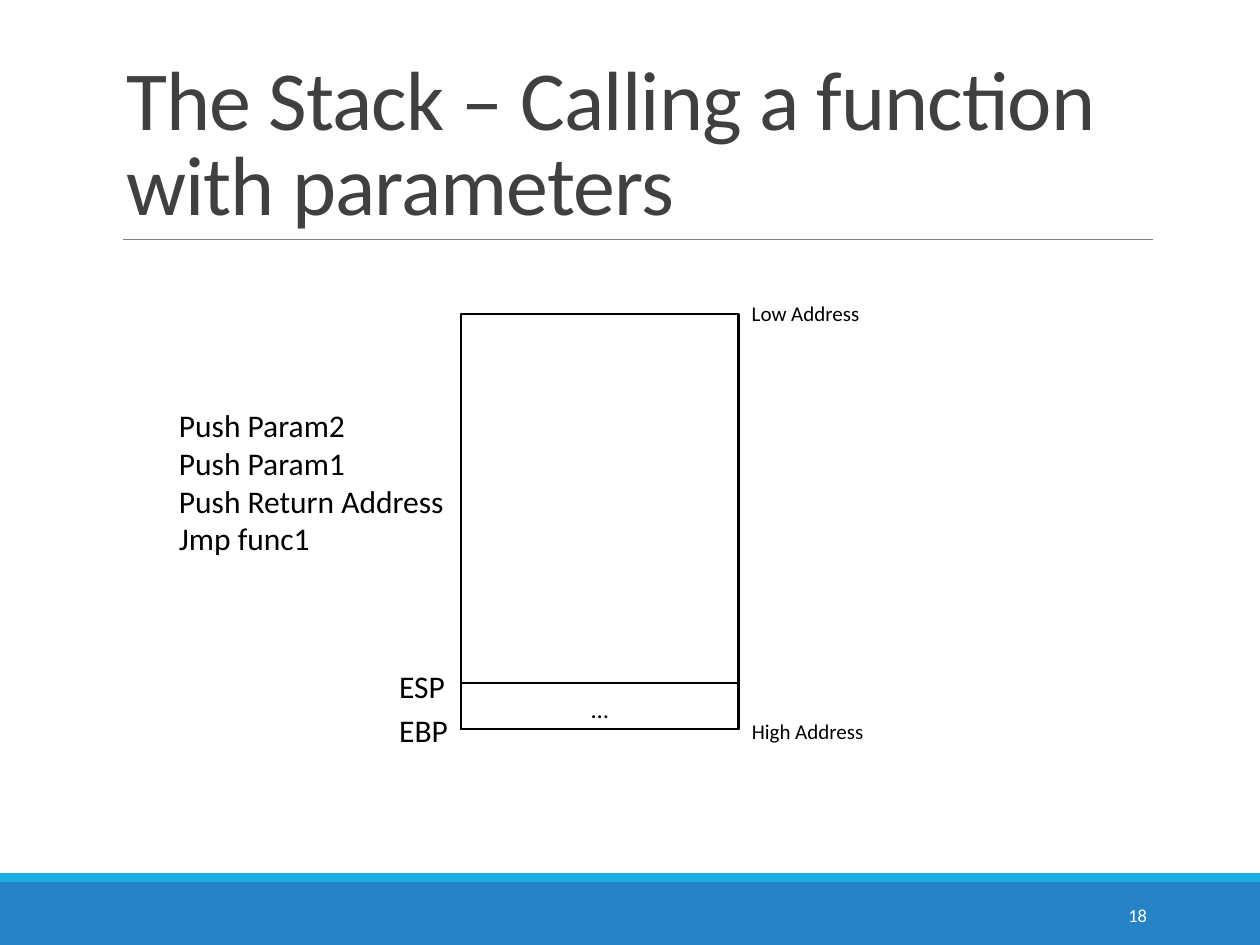
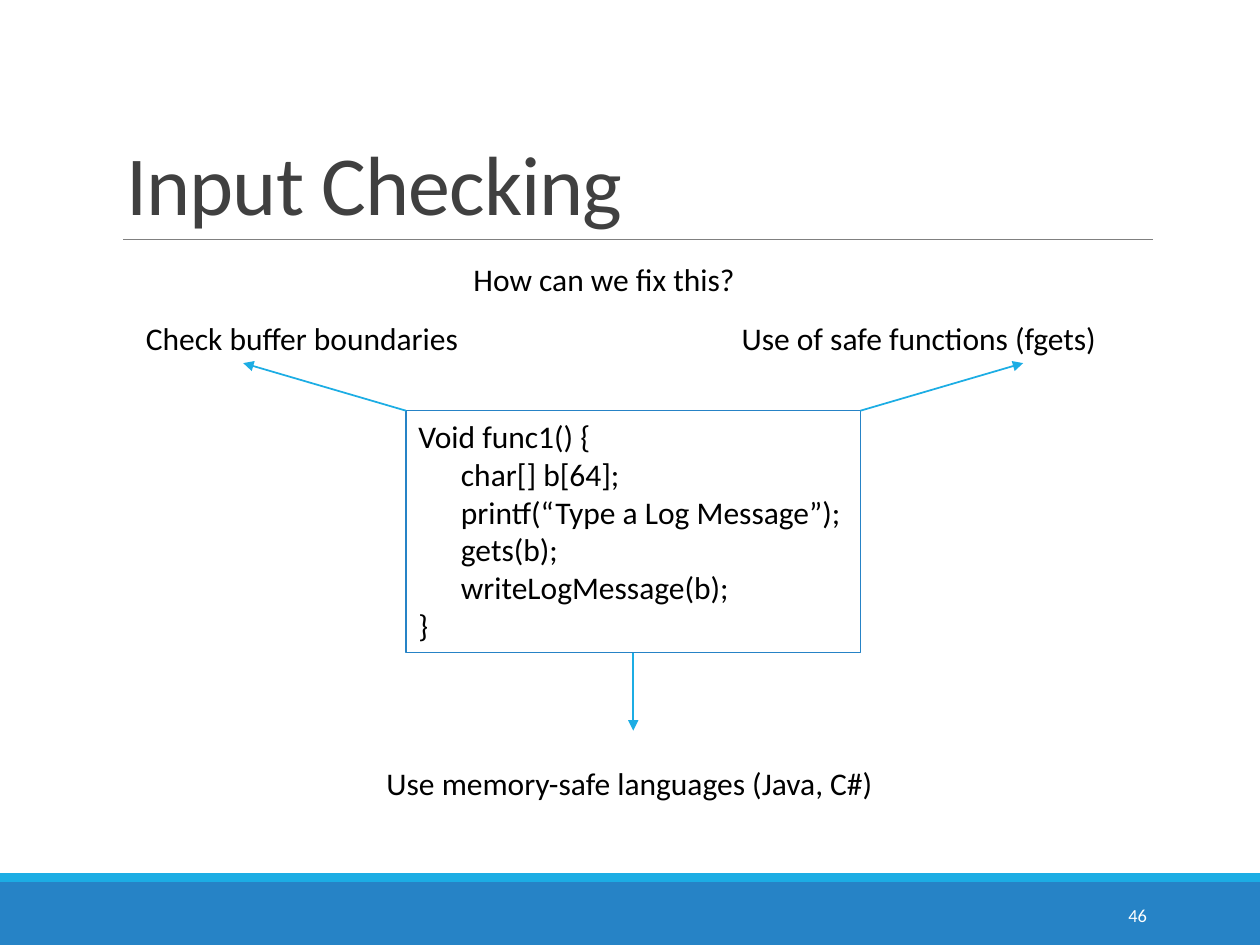
from lxml import etree
from pptx import Presentation
from pptx import util as u
from pptx.dml.color import RGBColor
from pptx.enum import shapes, text
from pptx.oxml.ns import qn

FONT = "Calibri"
BLACK, WHITE, GREY, TITLE = "000000", "FFFFFF", "808080", "404040"
BLUE, CYAN = "2683C6", "1CADE4"
WIDTH, HEIGHT = 720, 540
LEFT, CENTER, RIGHT = text.PP_ALIGN.LEFT, text.PP_ALIGN.CENTER, text.PP_ALIGN.RIGHT
TOP, MIDDLE, BOTTOM = text.MSO_ANCHOR.TOP, text.MSO_ANCHOR.MIDDLE, text.MSO_ANCHOR.BOTTOM


def color(value):
    return RGBColor.from_string(value)


def points(*values):
    return [u.Pt(value) for value in values]


def write(box, lines, size=18, ink=BLACK, align=LEFT, anchor=TOP, wrap=False,
          line_spacing=None, tracking=None):
    frame = box.text_frame
    frame.word_wrap = wrap
    frame.vertical_anchor = anchor
    for index, line in enumerate(lines):
        para = frame.paragraphs[0] if index == 0 else frame.add_paragraph()
        para.alignment = align
        if line_spacing:
            para.line_spacing = line_spacing
        span = para.add_run()
        span.text = line
        span.font.name = FONT
        span.font.size = u.Pt(size)
        span.font.color.rgb = color(ink)
        if tracking:
            span.font._element.set("spc", str(int(tracking * 100)))


def add_text(page, place, *lines, **style):
    box = page.shapes.add_textbox(*points(*place))
    write(box, lines, **style)


def add_box(page, place, fill=None, line=None, weight=1.25):
    box = page.shapes.add_shape(shapes.MSO_SHAPE.RECTANGLE, *points(*place))
    box.shadow.inherit = False
    if fill:
        box.fill.solid()
        box.fill.fore_color.rgb = color(fill)
    else:
        box.fill.background()
    if line:
        box.line.color.rgb = color(line)
        box.line.width = u.Pt(weight)
    else:
        box.line.fill.background()
    return box


def add_line(page, start, end, ink, weight, arrow=False):
    line = page.shapes.add_connector(shapes.MSO_CONNECTOR.STRAIGHT, *points(*start, *end))
    line.line.color.rgb = color(ink)
    line.line.width = u.Pt(weight)
    if arrow:
        etree.SubElement(line.line._get_or_add_ln(), qn("a:tailEnd"), type="triangle")
    etree.SubElement(line._element.spPr, qn("a:effectLst"))


def add_page(deck, title, number):
    page = deck.slides.add_slide(deck.slide_layouts[6])
    add_box(page, (0, 504, WIDTH, 36), fill=BLUE)
    add_box(page, (0, 499, WIDTH, 5), fill=CYAN)
    add_line(page, (70.5, 136.8), (659, 136.8), GREY, 0.5)
    add_text(page, (65, 22.5, 594, 114.2), title, size=48, ink=TITLE, anchor=BOTTOM,
             wrap=True, line_spacing=0.85, tracking=-0.5)
    add_text(page, (585, 508.5, 77.5, 28.75), str(number), size=10.5, ink=WHITE,
             align=RIGHT, anchor=MIDDLE, wrap=True)
    return page


def build_stack(deck):
    page = add_page(deck, "The Stack – Calling a function with parameters", 18)
    left, top, width, bottom, frame_top = 263.5, 179.3, 158.5, 416.8, 390.5
    add_box(page, (left, top, width, bottom - top), line=BLACK)
    frame = add_box(page, (left, frame_top, width, bottom - frame_top), line=BLACK)
    write(frame, ["…"], size=14, align=CENTER, anchor=BOTTOM, wrap=True)
    for label, y, label_width in (("Low Address", top, 77), ("High Address", bottom + 1, 79)):
        add_text(page, (left + width + 0.5, y - 10.9, label_width, 21.8), label, size=12)
    for label, y, label_width in (("ESP", frame_top, 41), ("EBP", bottom - 1.3, 42.5)):
        add_text(page, (221, y - 13, label_width, 29), label)
    add_text(page, (95.2, 228.5, 168, 94.5),
             "Push Param2", "Push Param1", "Push Return Address", "Jmp func1")


def build_input_checking(deck):
    page = add_page(deck, "Input Checking", 46)
    left, top, right, bottom = 232, 234.7, 491.7, 373
    middle = (left + right) / 2
    code = add_box(page, (left, top, right - left, bottom - top), line=BLUE, weight=0.75)
    write(code, ["Void func1() {",
                 "      char[] b[64];",
                 "      printf(“Type a Log Message”);",
                 "      gets(b);",
                 "      writeLogMessage(b);",
                 "}"])
    for label, x, y, width in (
            ("How can we fix this?", 263.5, 145.2, 165.5),
            ("Check buffer boundaries", 76.3, 178.8, 196),
            ("Use of safe functions (fgets)", 416.7, 178.8, 219.5),
            ("Use memory-safe languages (Java, C#)", 213.8, 433.2, 296)):
        add_text(page, (x, y, width, 29), label)
    for start, end in (((left, top), (139, 207.5)),
                       ((right, top), (584.7, 207.5)),
                       ((middle, bottom), (middle, 417.5))):
        add_line(page, start, end, CYAN, 1, arrow=True)


def main():
    deck = Presentation()
    deck.slide_width, deck.slide_height = points(WIDTH, HEIGHT)
    build_stack(deck)
    build_input_checking(deck)
    deck.save("out.pptx")


if __name__ == "__main__":
    main()
